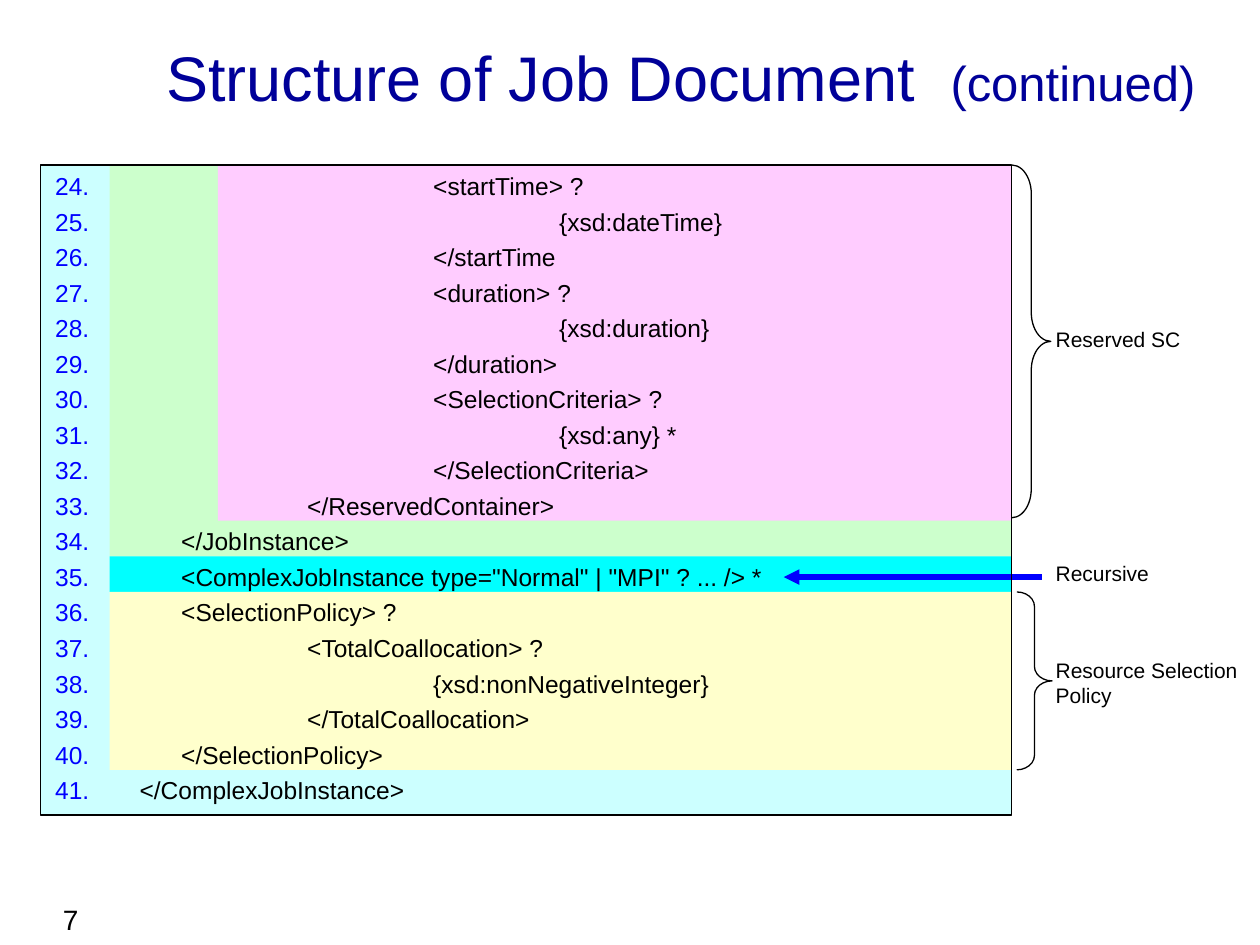
from dataclasses import dataclass

from lxml import etree
from pptx import Presentation
from pptx import util as u
from pptx.dml.color import RGBColor
from pptx.enum import shapes, text
from pptx.oxml.ns import qn


@dataclass(frozen=True)
class Theme:
    font: str = "Arial"
    ink: str = "000000"
    title: str = "000099"
    accent: str = "0000FF"
    document: str = "CCFFFF"
    job: str = "CCFFCC"
    reserved: str = "FFCCFF"
    recursive: str = "00FFFF"
    policy: str = "FFFFCC"
    title_size: int = 36
    subtitle_size: int = 28
    page_size: int = 16
    code_size: int = 14
    label_size: int = 12


T = Theme()
LEFT, RIGHT, TOP, BOTTOM = 0.32, 8.03, 1.31, 6.47
ROW = 4.8 / 17
JOB_X, RESERVED_X = 0.87, 1.73
LABEL_X = 8.28
FIRST_LINE = 24

CODE = [
    (3, "<startTime> ?"),
    (4, "{xsd:dateTime}"),
    (3, "</startTime"),
    (3, "<duration> ?"),
    (4, "{xsd:duration}"),
    (3, "</duration>"),
    (3, "<SelectionCriteria> ?"),
    (4, "{xsd:any} *"),
    (3, "</SelectionCriteria>"),
    (2, "</ReservedContainer>"),
    (1, "</JobInstance>"),
    (1, '<ComplexJobInstance type="Normal" | "MPI" ? ... /> *'),
    (1, "<SelectionPolicy> ?"),
    (2, "<TotalCoallocation> ?"),
    (3, "{xsd:nonNegativeInteger}"),
    (2, "</TotalCoallocation>"),
    (1, "</SelectionPolicy>"),
    (0, "</ComplexJobInstance>"),
]


def row(n):
    return TOP + n * ROW


def rgb(color):
    return RGBColor.from_string(color)


def inches(*values):
    return [u.Inches(v) for v in values]


def add_run(p, content, size, color=T.ink):
    r = p.add_run()
    r.text = content
    r.font.name = T.font
    r.font.size = u.Pt(size)
    r.font.color.rgb = rgb(color)


def add_text(s, box, paragraphs, color=T.ink, align=text.PP_ALIGN.LEFT,
             anchor=text.MSO_ANCHOR.TOP, wrap=True):
    tf = s.shapes.add_textbox(*inches(*box)).text_frame
    tf.word_wrap = wrap
    tf.vertical_anchor = anchor
    for i, runs in enumerate(paragraphs):
        p = tf.add_paragraph() if i else tf.paragraphs[0]
        p.alignment = align
        for content, size in runs:
            add_run(p, content, size, color)
    return tf


def add_rect(s, x, y, right, bottom, fill=None, line=None):
    sp = s.shapes.add_shape(shapes.MSO_SHAPE.RECTANGLE,
                            *inches(x, y, right - x, bottom - y))
    sp.shadow.inherit = False
    if fill:
        sp.fill.solid()
        sp.fill.fore_color.rgb = rgb(fill)
    else:
        sp.fill.background()
    if line:
        sp.line.color.rgb = rgb(line)
        sp.line.width = u.Pt(0.75)
    else:
        sp.line.fill.background()


def add_brace(s, x, y, w, h, curve):
    sp = s.shapes.add_shape(shapes.MSO_SHAPE.RIGHT_BRACE, *inches(x, y, w, h))
    sp.shadow.inherit = False
    sp.adjustments[0] = curve
    sp.fill.background()
    sp.line.color.rgb = rgb(T.ink)
    sp.line.width = u.Pt(0.75)


def add_arrow(s, x1, y1, x2, y2):
    c = s.shapes.add_connector(shapes.MSO_CONNECTOR.STRAIGHT,
                               *inches(x1, y1, x2, y2))
    c.line.color.rgb = rgb(T.accent)
    c.line.width = u.Pt(3)
    etree.SubElement(c.line._get_or_add_ln(), qn("a:tailEnd"), type="triangle")
    etree.SubElement(c._element.spPr, qn("a:effectLst"))


def number_line(p):
    pPr = p._p.get_or_add_pPr()
    hang = u.Inches(0.67)
    pPr.set("marL", str(hang))
    pPr.set("indent", str(-hang))
    color = etree.SubElement(pPr, qn("a:buClr"))
    etree.SubElement(color, qn("a:srgbClr"), val=T.accent)
    etree.SubElement(pPr, qn("a:buFont"), typeface=T.font)
    etree.SubElement(pPr, qn("a:buAutoNum"), type="arabicPeriod",
                     startAt=str(FIRST_LINE))
    tabs = etree.SubElement(pPr, qn("a:tabLst"))
    for n in range(1, 9):
        etree.SubElement(tabs, qn("a:tab"), pos=str(u.Inches(n)), algn="l")


def add_code(s, box, lines):
    tf = add_text(s, box, [[("\t" * level + code, T.code_size)]
                           for level, code in lines])
    for i, p in enumerate(tf.paragraphs):
        number_line(p)
        if i:
            p.space_before = u.Pt(3.5)


def main():
    prs = Presentation()
    prs.slide_width, prs.slide_height = inches(10, 7.5)
    s = prs.slides.add_slide(prs.slide_layouts[6])

    add_text(s, (0.08, 7.11, 0.64, 0.39), [[("7", T.page_size)]],
             align=text.PP_ALIGN.RIGHT)
    add_text(s, (1.22, 0.21, 8.58, 0.79),
             [[("Structure of Job Document  ", T.title_size),
               ("(continued)", T.subtitle_size)]],
             color=T.title, anchor=text.MSO_ANCHOR.MIDDLE)

    add_rect(s, LEFT, TOP, RIGHT, BOTTOM, T.document)
    for x, first, last, fill in [
        (JOB_X, 0, 11, T.job),
        (RESERVED_X, 0, 10, T.reserved),
        (JOB_X, 11, 12, T.recursive),
        (JOB_X, 12, 17, T.policy),
    ]:
        add_rect(s, x, row(first), RIGHT, row(last), fill)

    add_brace(s, RIGHT, TOP, 0.31, 2.8, 0.74)
    add_brace(s, 8.07, row(12), 0.28, row(17) - row(12), 0.41)
    for y, lines in [
        (2.54, ["Reserved SC"]),
        (4.4, ["Recursive"]),
        (5.17, ["Resource Selection", "Policy"]),
    ]:
        add_text(s, (LABEL_X, y, 1.72, 0.1 + 0.2 * len(lines)),
                 [[(line, T.label_size)] for line in lines], wrap=False)

    add_arrow(s, 8.27, 4.58, 6.22, 4.58)
    add_rect(s, LEFT, TOP, RIGHT, BOTTOM, line=T.ink)
    add_code(s, (0.34, 1.31, 6, 5.12), CODE)

    prs.save("out.pptx")


if __name__ == "__main__":
    main()
